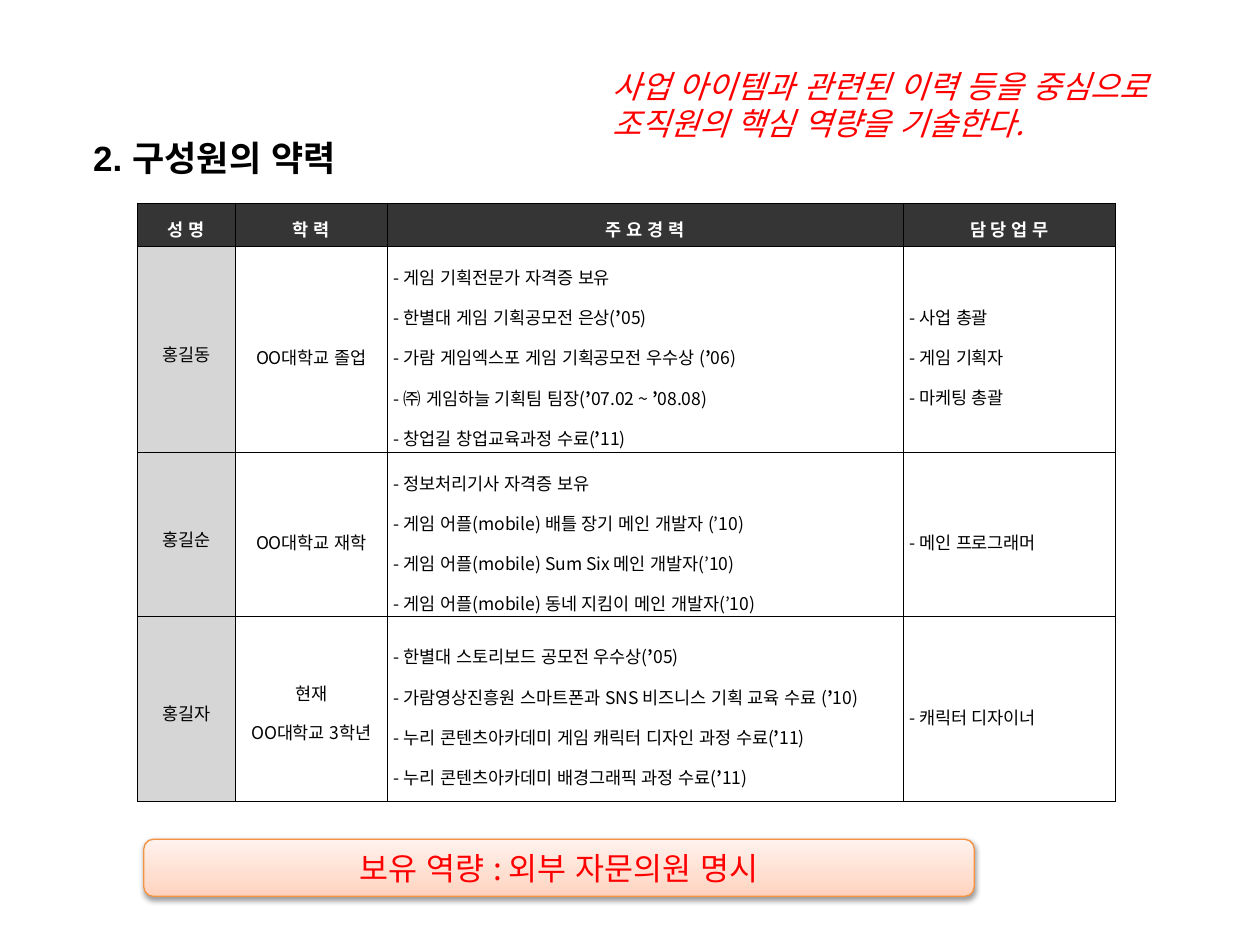
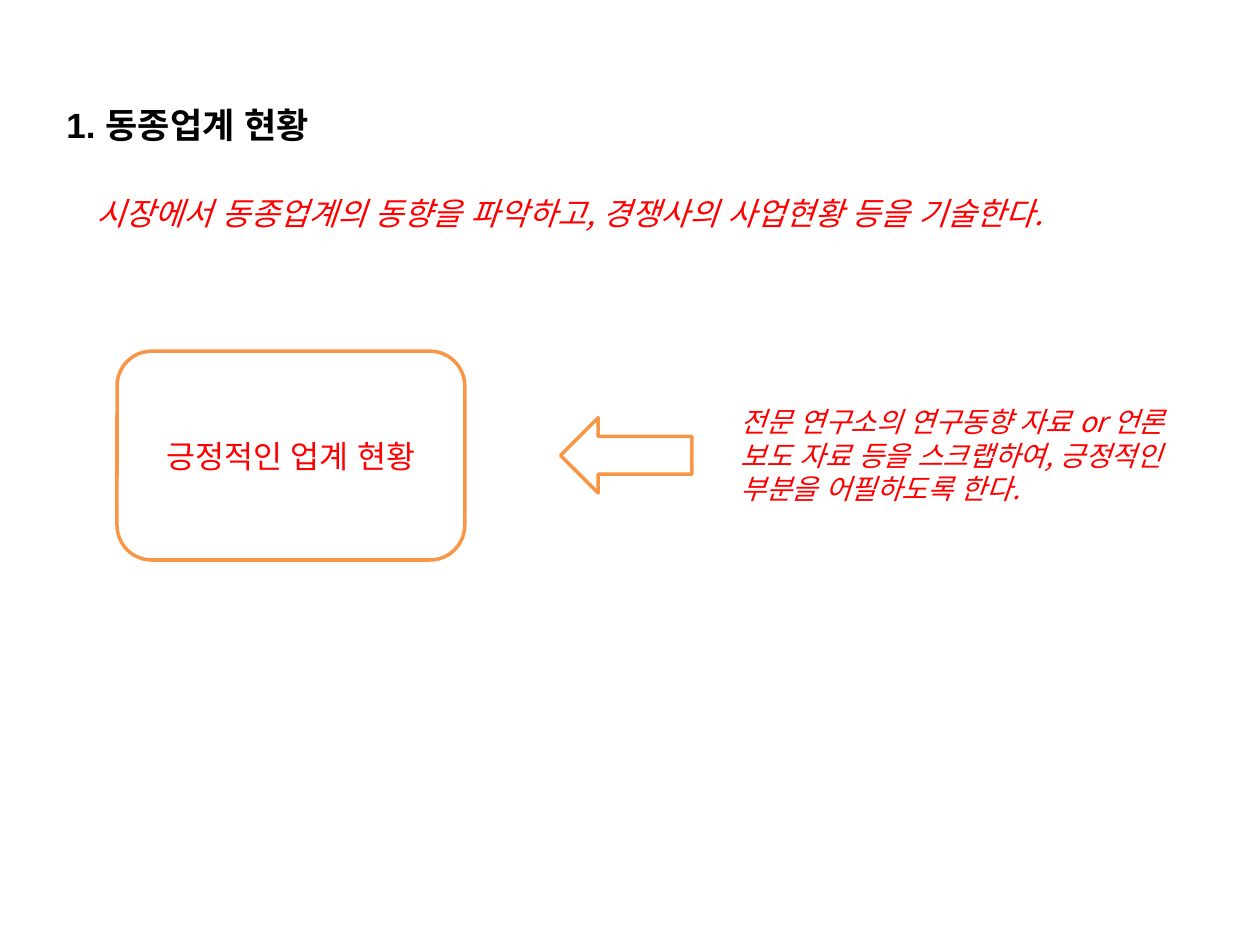
"""Build two business plan slides: team profiles and industry status."""
from lxml.etree import SubElement
from pptx import Presentation
from pptx.dml.color import RGBColor
from pptx.enum.shapes import MSO_SHAPE
from pptx.enum.text import MSO_ANCHOR, MSO_AUTO_SIZE, PP_ALIGN
from pptx.oxml import parse_xml
from pptx.oxml.ns import nsdecls, qn
from pptx.util import Cm, Pt

KOREAN, LATIN = "Noto Sans CJK KR", "Arial"
BLACK, WHITE, RED = "000000", "FFFFFF", "FF0000"
ORANGE, BAND_ORANGE = "F79646", "F69240"
HEADER_GRAY, NAME_GRAY = "353535", "D6D6D6"


def color(value):
    return RGBColor.from_string(value)


def style(paragraph, size, ink, font=KOREAN, bold=False, italic=False):
    for run in paragraph.runs:
        run.font.size = Pt(size)
        run.font.name = font
        run.font.bold = bold
        run.font.italic = italic
        run.font.color.rgb = color(ink)
        SubElement(run._r.get_or_add_rPr(), qn("a:ea"), typeface=LATIN)


deck = Presentation()
deck.slide_width, deck.slide_height = Cm(25.4), Cm(19.05)
team, market = [deck.slides.add_slide(deck.slide_layouts[6]) for _ in range(2)]

headings = [
    (team, 1.63, 2.62, 5.89, "2. 구성원의 약력"),
    (market, 1.09, 1.96, 6.38, "1. 동종업계 현황"),
]
for slide, left, top, width, wording in headings:
    heading = slide.shapes.add_textbox(Cm(left), Cm(top), Cm(width), Cm(1.12)).text_frame
    heading.word_wrap = False
    heading.auto_size = MSO_AUTO_SIZE.SHAPE_TO_FIT_TEXT
    heading.text = wording
    style(heading.paragraphs[0], 20, BLACK, LATIN, bold=True)

guides = [
    (team, 12.09, 1.22, 12.7, 1.8, 18,
     "사업 아이템과 관련된 이력 등을 중심으로 조직원의 핵심 역량을 기술한다."),
    (market, 1.7, 3.78, 22, 1.02, 18,
     "시장에서 동종업계의 동향을 파악하고, 경쟁사의 사업현황 등을 기술한다."),
    (market, 14.68, 8.03, 9.5, 2.31, 16,
     "전문 연구소의 연구동향 자료 or 언론 보도 자료 등을 스크랩하여, "
     "긍정적인 부분을 어필하도록 한다."),
]
for slide, left, top, width, height, size, wording in guides:
    guide = slide.shapes.add_textbox(Cm(left), Cm(top), Cm(width), Cm(height)).text_frame
    guide.word_wrap = True
    guide.auto_size = MSO_AUTO_SIZE.SHAPE_TO_FIT_TEXT
    guide.text = wording
    style(guide.paragraphs[0], size, RED, italic=True)

profiles = [
    [["성 명"], ["학 력"], ["주 요 경 력"], ["담 당 업 무"]],
    [["홍길동"], ["OO대학교 졸업"],
     ["- 게임 기획전문가 자격증 보유",
      "- 한별대 게임 기획공모전 은상(’05)",
      "- 가람 게임엑스포 게임 기획공모전 우수상 (’06)",
      "- ㈜ 게임하늘 기획팀 팀장(’07.02 ~ ’08.08)",
      "- 창업길 창업교육과정 수료(’11)"],
     ["- 사업 총괄", "- 게임 기획자", "- 마케팅 총괄"]],
    [["홍길순"], ["OO대학교 재학"],
     ["- 정보처리기사 자격증 보유",
      "- 게임 어플(mobile) 배틀 장기 메인 개발자 (’10)",
      "- 게임 어플(mobile) Sum Six 메인 개발자(’10)",
      "- 게임 어플(mobile) 동네 지킴이 메인 개발자(’10)"],
     ["- 메인 프로그래머"]],
    [["홍길자"], ["현재\vOO대학교 3학년"],
     ["- 한별대 스토리보드 공모전 우수상(’05)",
      "- 가람영상진흥원 스마트폰과 SNS 비즈니스 기획 교육 수료 (’10)",
      "- 누리 콘텐츠아카데미 게임 캐릭터 디자인 과정 수료(’11)",
      "- 누리 콘텐츠아카데미 배경그래픽 과정 수료(’11)"],
     ["- 캐릭터 디자이너"]],
]
roster = team.shapes.add_table(4, 4, Cm(2.77), Cm(4.09), Cm(19.72), Cm(12.07)).table
roster.horz_banding = False
for column, width in zip(roster.columns, (1.97, 3.07, 10.39, 4.29)):
    column.width = Cm(width)
for row, height in zip(roster.rows, (0.88, 4.15, 3.31, 3.73)):
    row.height = Cm(height)

for row, member in enumerate(profiles):
    for column, lines in enumerate(member):
        cell = roster.cell(row, column)
        cell.vertical_anchor = MSO_ANCHOR.MIDDLE
        cell.margin_left = cell.margin_right = Cm(0.13)
        cell.margin_top = cell.margin_bottom = Cm(0.05)
        for side in "LRTB":
            cell._tc.get_or_add_tcPr().append(parse_xml(
                f'<a:ln{side} {nsdecls("a")} w="3556"><a:solidFill>'
                f'<a:srgbClr val="{BLACK}"/></a:solidFill></a:ln{side}>'))
        if row == 0 or column == 0:
            cell.fill.solid()
            cell.fill.fore_color.rgb = color(NAME_GRAY if row else HEADER_GRAY)
        else:
            cell.fill.background()

        cell.text_frame.text = "\n".join(lines)
        for paragraph, line in zip(cell.text_frame.paragraphs, lines):
            paragraph.line_spacing = 1.6
            paragraph.alignment = PP_ALIGN.JUSTIFY if row and column > 1 else PP_ALIGN.CENTER
            bold_years = "’" in line and row != 2
            if bold_years:
                pieces = line.replace("’", "|’|").split("|")
                paragraph.text = pieces[0]
                for piece in pieces[1:]:
                    paragraph.add_run().text = piece
            style(paragraph, 10, BLACK if row else WHITE, bold=row == 0)
            for run in paragraph.runs:
                if bold_years and run.text == "’":
                    run.font.bold = True

outlined = [
    (team, MSO_SHAPE.ROUNDED_RECTANGLE, 2.9, 16.92, 16.74, 1.15, BAND_ORANGE, 0.75,
     "보유 역량 : 외부 자문의원 명시"),
    (market, MSO_SHAPE.ROUNDED_RECTANGLE, 2.36, 7.08, 7.01, 4.21, ORANGE, 2,
     "긍정적인 업계 현황"),
    (market, MSO_SHAPE.LEFT_ARROW, 11.3, 8.42, 2.65, 1.52, ORANGE, 2, ""),
]
for slide, outline, left, top, width, height, edge, weight, wording in outlined:
    figure = slide.shapes.add_shape(outline, Cm(left), Cm(top), Cm(width), Cm(height))
    figure.shadow.inherit = False
    figure.fill.solid()
    figure.fill.fore_color.rgb = color(WHITE)
    figure.line.color.rgb = color(edge)
    figure.line.width = Pt(weight)
    if wording:
        figure.text_frame.text = wording
        figure.text_frame.vertical_anchor = MSO_ANCHOR.MIDDLE
        figure.text_frame.paragraphs[0].alignment = PP_ALIGN.CENTER
        style(figure.text_frame.paragraphs[0], 18, RED)

advisors = team.shapes[-1]
stops = "".join(
    f'<a:gs pos="{percent * 1000}"><a:srgbClr val="{tint}"/></a:gs>'
    for percent, tint in ((0, "FFD2BD"), (35, "FFDED0"), (100, "FFF2ED")))
band = advisors._element.spPr
band.replace(band.find(qn("a:solidFill")), parse_xml(
    f'<a:gradFill {nsdecls("a")} rotWithShape="1"><a:gsLst>{stops}</a:gsLst>'
    '<a:lin ang="16200000" scaled="0"/></a:gradFill>'))
band.find(qn("a:effectLst")).append(parse_xml(
    f'<a:outerShdw {nsdecls("a")} blurRad="40000" dist="20000" dir="5400000" rotWithShape="0">'
    f'<a:srgbClr val="{BLACK}"><a:alpha val="38000"/></a:srgbClr></a:outerShdw>'))

deck.save("out.pptx")
